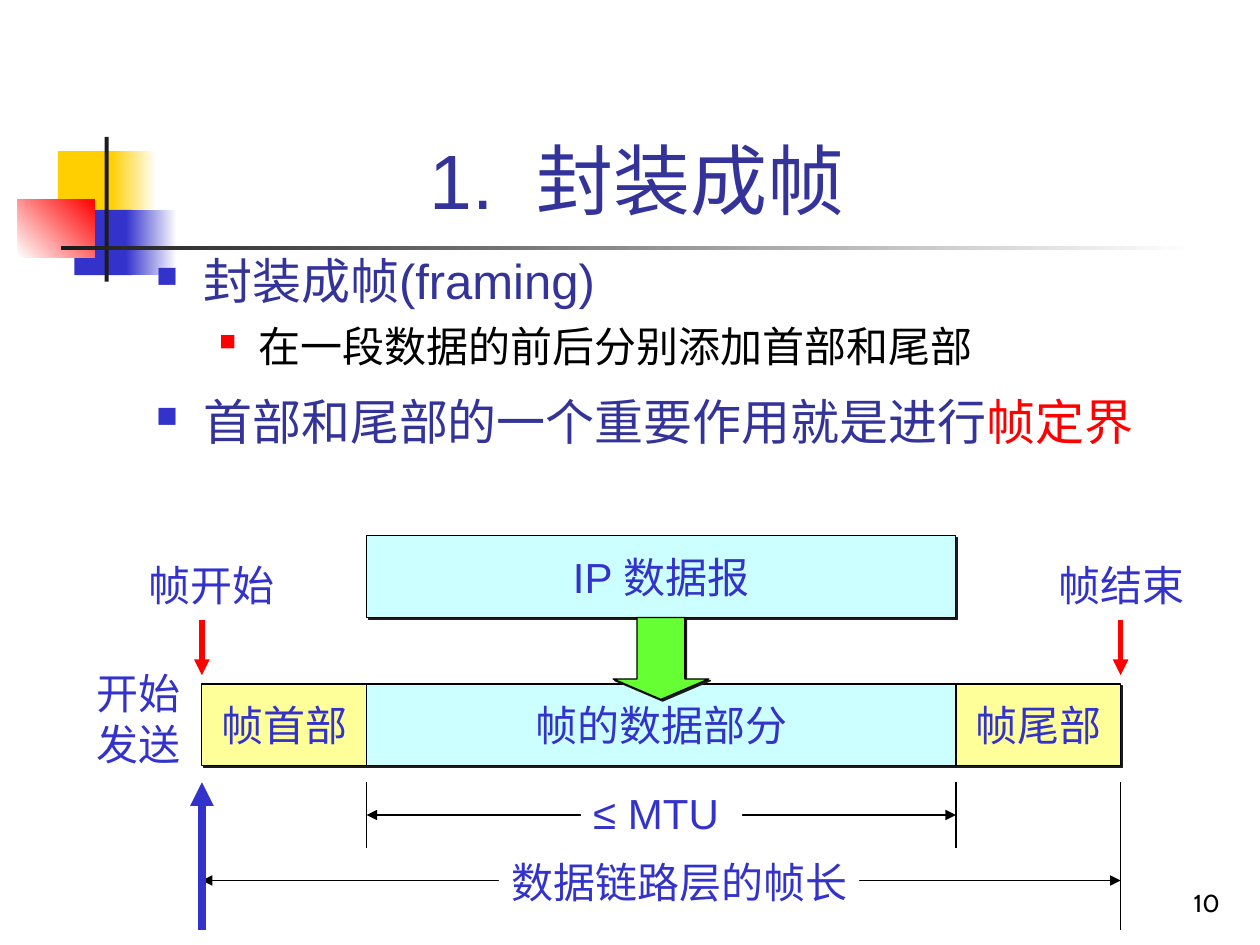
from lxml.etree import SubElement
from pptx import Presentation
from pptx.dml.color import RGBColor
from pptx.enum.shapes import MSO_CONNECTOR, MSO_SHAPE
from pptx.enum.text import MSO_ANCHOR, MSO_AUTO_SIZE, PP_ALIGN
from pptx.oxml.ns import qn
from pptx.util import Cm, Pt


def color(hex_string):
    return RGBColor.from_string(hex_string)


def add_run(paragraph, text, size=24, font="Arial", fill="3333CC"):
    run = paragraph.add_run()
    run.text = text
    run.font.size = Pt(size)
    run.font.name = font
    run.font.color.rgb = color(fill)


def add_element(parent, tag, **attributes):
    return SubElement(parent, qn(tag), attributes)


class SlideBuilder:
    black = "000000"
    dark = "1C1C1C"
    white = "FFFFFF"
    blue = "3333CC"
    navy = "333399"
    red = "FF0000"
    gold = "FFCF01"
    yellow = "FFFF99"
    cyan = "CCFFFF"
    green = "66FF33"

    def __init__(self, slide):
        self.slide = slide

    def shape(self, left, top, width, height, kind=MSO_SHAPE.RECTANGLE):
        shape = self.slide.shapes.add_shape(kind, Cm(left), Cm(top), Cm(width), Cm(height))
        shape.shadow.inherit = False
        shape.line.fill.background()
        return shape

    def block(self, left, top, width, height, fill):
        shape = self.shape(left, top, width, height)
        shape.fill.solid()
        shape.fill.fore_color.rgb = color(fill)

    def gradient(self, left, top, width, height, start, end, angle=0):
        shape = self.shape(left, top, width, height)
        shape.fill.gradient()
        shape.fill.gradient_angle = angle
        for stop, fill in zip(shape.fill.gradient_stops, (start, end)):
            stop.color.rgb = color(fill)

    def raised(self, left, top, width, height, fill, text="", kind=MSO_SHAPE.RECTANGLE):
        shape = self.shape(left, top, width, height, kind)
        shape.fill.solid()
        shape.fill.fore_color.rgb = color(fill)
        shape.line.color.rgb = color(self.black)
        shape.line.width = Pt(0.75)
        effects = shape._element.spPr.find(qn("a:effectLst"))
        shadow = add_element(effects, "a:outerShdw", dist=str(Pt(1.4)), dir="2700000",
                             algn="ctr", rotWithShape="0")
        add_element(shadow, "a:srgbClr", val=self.dark)
        if text:
            frame = shape.text_frame
            frame.word_wrap = False
            frame.vertical_anchor = MSO_ANCHOR.MIDDLE
            frame.paragraphs[0].alignment = PP_ALIGN.CENTER
            add_run(frame.paragraphs[0], text)
        return shape

    def text_box(self, left, top, width, height, anchor=MSO_ANCHOR.TOP, align=PP_ALIGN.LEFT):
        box = self.slide.shapes.add_textbox(Cm(left), Cm(top), Cm(width), Cm(height))
        box.text_frame.word_wrap = True
        box.text_frame.vertical_anchor = anchor
        box.text_frame.paragraphs[0].alignment = align
        return box

    def label(self, left, top, width, height, *lines):
        box = self.text_box(left, top, width, height)
        box.fill.solid()
        box.fill.fore_color.rgb = color(self.white)
        frame = box.text_frame
        frame.word_wrap = False
        frame.auto_size = MSO_AUTO_SIZE.NONE
        frame.margin_right = Cm(0)
        for index, line in enumerate(lines):
            paragraph = frame.add_paragraph() if index else frame.paragraphs[0]
            paragraph.alignment = PP_ALIGN.LEFT
            add_run(paragraph, line)

    def bullet(self, paragraph, margin, indent, fill, size, before=0):
        properties = paragraph._p.get_or_add_pPr()
        properties.set("marL", str(Cm(margin)))
        properties.set("indent", str(Cm(-indent)))
        paragraph.space_before = Pt(before)
        bullet_color = add_element(properties, "a:buClr")
        add_element(bullet_color, "a:srgbClr", val=fill)
        add_element(properties, "a:buSzPct", val=str(size * 1000))
        add_element(properties, "a:buChar", char="■")

    def line(self, x1, y1, x2, y2, fill=black, width=0.75, head=False, tail=False):
        connector = self.slide.shapes.add_connector(
            MSO_CONNECTOR.STRAIGHT, Cm(x1), Cm(y1), Cm(x2), Cm(y2))
        connector.line.color.rgb = color(fill)
        connector.line.width = Pt(width)
        outline = connector.line._get_or_add_ln()
        for tag, wanted in (("a:headEnd", head), ("a:tailEnd", tail)):
            if wanted:
                add_element(outline, tag, type="triangle")
        add_element(connector._element.spPr, "a:effectLst")


def draw_decoration(builder):
    builder.block(1.17, 3.05, 1.22, 1.32, builder.gold)
    builder.gradient(2.24, 3.05, 0.91, 1.32, builder.gold, builder.white)
    builder.block(1.5, 4.23, 1.17, 1.32, builder.blue)
    builder.gradient(2.54, 4.23, 1.02, 1.32, builder.blue, builder.white)
    builder.gradient(0.36, 4.02, 1.55, 1.17, builder.white, builder.red, 45)
    builder.block(2.11, 2.76, 0.08, 2.92, builder.dark)
    builder.gradient(1.23, 4.95, 22.86, 0.09, builder.dark, builder.white)


def draw_text(builder):
    title = builder.text_box(3.2, 0.6, 19.3, 4.06, MSO_ANCHOR.BOTTOM, PP_ALIGN.CENTER)
    add_run(title.text_frame.paragraphs[0], "1.  封装成帧", size=44, fill=builder.navy)

    body = builder.text_box(2.9, 4.93, 21.59, 11.43).text_frame
    topic = body.paragraphs[0]
    builder.bullet(topic, 0.95, 0.95, builder.blue, 60)
    add_run(topic, "封装成帧(framing)", size=28, fill=builder.navy)
    detail = body.add_paragraph()
    detail.level = 1
    builder.bullet(detail, 2.06, 0.79, builder.red, 55, before=6)
    add_run(detail, "在一段数据的前后分别添加首部和尾部", font="Cabin", fill=builder.black)
    purpose = body.add_paragraph()
    builder.bullet(purpose, 0.95, 0.95, builder.blue, 60, before=12)
    add_run(purpose, "首部和尾部的一个重要作用就是进行", size=28, fill=builder.navy)
    add_run(purpose, "帧定界", size=28, fill=builder.red)

    number = builder.text_box(19.56, 17.35, 5.28, 1.27, MSO_ANCHOR.BOTTOM, PP_ALIGN.RIGHT)
    add_run(number.text_frame.paragraphs[0], "10", size=14, font="Cabin", fill=builder.black)


def draw_frame(builder):
    start, header_width, data_width, height = 4.07, 3.32, 11.88, 1.65
    data_start = start + header_width
    data_end = data_start + data_width
    end = data_end + header_width
    packet_top, frame_top, tick_top = 10.8, 13.79, 15.77

    builder.label(21.08, 11.15, 3.05, 1.27, "帧结束")
    builder.raised(start, frame_top, header_width, height, builder.yellow, "帧首部")
    builder.raised(data_start, packet_top, data_width, height, builder.cyan, "IP 数据报")
    builder.raised(data_start, frame_top, data_width, height, builder.cyan, "帧的数据部分")
    builder.raised(data_end, frame_top, header_width, height, builder.yellow, "帧尾部")

    for left, right, y in ((data_start, data_end, 16.43), (start, end, 17.75)):
        builder.line(left, y, right, y, head=True, tail=True)
    builder.line(start, tick_top, start, 18.75, builder.blue, 4.5, head=True)
    for x, bottom in ((end, 18.75), (data_start, 17.09), (data_end, 17.09)):
        builder.line(x, tick_top, x, bottom)

    builder.label(11.71, 15.75, 3.25, 1.27, "≤ MTU")
    builder.label(10.06, 17.15, 7.26, 1.27, "数据链路层的帧长")
    arrow = builder.raised(12.36, packet_top + height, 1.93, height, builder.green,
                           kind=MSO_SHAPE.DOWN_ARROW)
    arrow.adjustments[0] = 0.5
    arrow.adjustments[1] = 0.25
    builder.label(1.7, 13.34, 2.18, 2.29, "开始", "发送")
    for x in (start, end):
        builder.line(x, 13.61, x, 12.5, builder.red, 3, head=True)
    builder.label(2.74, 11.15, 3.05, 1.27, "帧开始")


def main():
    presentation = Presentation()
    presentation.slide_width = Cm(25.4)
    presentation.slide_height = Cm(19.05)
    builder = SlideBuilder(presentation.slides.add_slide(presentation.slide_layouts[6]))
    draw_decoration(builder)
    draw_text(builder)
    draw_frame(builder)
    presentation.save("out.pptx")


if __name__ == "__main__":
    main()
